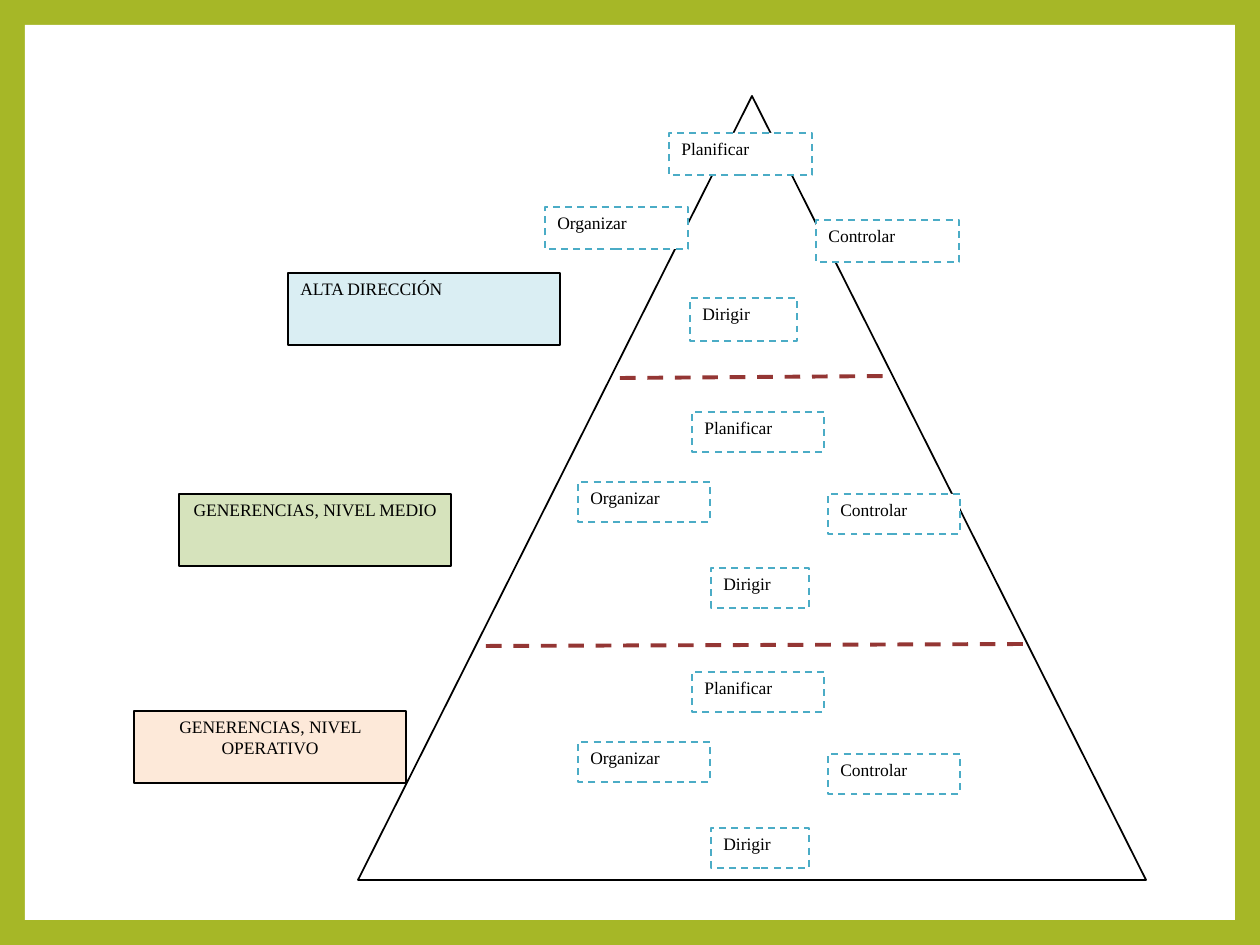
from dataclasses import dataclass, replace

from lxml import etree
from pptx import Presentation
from pptx import util as u
from pptx.dml.color import RGBColor
from pptx.enum import dml, shapes, text
from pptx.oxml import ns

PX_PER_INCH = 126
FONT = "Times New Roman"
COLORS = {
    "frame": "A6B727",
    "paper": "FFFFFF",
    "ink": "000000",
    "function": "4BACC6",
    "divider": "943634",
    "top": "DAEEF3",
    "middle": "D6E3BC",
    "operative": "FDE9D9",
}


@dataclass(frozen=True)
class Box:
    label: str
    left: int
    top: int
    width: int
    height: int
    fill: str = "paper"
    line: str = "function"
    dashed: bool = True
    centered: bool = False


@dataclass(frozen=True)
class Divider:
    left: int
    left_y: int
    right: int
    right_y: int


LEVELS = [
    Box("GENERENCIAS, NIVEL MEDIO", 179, 494, 272, 72, "middle", "ink", False, True),
    Box("GENERENCIAS, NIVEL OPERATIVO", 134, 711, 272, 72, "operative", "ink", False, True),
    Box("ALTA DIRECCIÓN", 288, 273, 272, 72, "top", "ink", False),
]
TOP_FUNCTIONS = [
    Box("Planificar", 669, 133, 143, 42),
    Box("Organizar", 545, 207, 143, 42),
    Box("Dirigir", 690, 298, 107, 43),
    Box("Controlar", 816, 220, 143, 42),
]
MIDDLE_FUNCTIONS = [
    Box("Planificar", 692, 412, 132, 40),
    Box("Organizar", 578, 482, 132, 40),
    Box("Dirigir", 711, 568, 98, 40),
    Box("Controlar", 828, 494, 132, 40),
]
LEVEL_STEP = 260
OPERATIVE_FUNCTIONS = [replace(box, top=box.top + LEVEL_STEP) for box in MIDDLE_FUNCTIONS]
DIVIDERS = [Divider(620, 378, 892, 376), Divider(486, 646, 1027, 644)]


def px(length: int) -> u.Emu:
    return u.Emu(round(length * u.Inches(1) / PX_PER_INCH))


def color(name: str) -> RGBColor:
    return RGBColor.from_string(COLORS[name])


def add_outline(slide, kind, left: int, top: int, width: int, height: int, fill: str, line: str | None):
    shape = slide.shapes.add_shape(kind, px(left), px(top), px(width), px(height))
    shape.shadow.inherit = False
    shape.fill.solid()
    shape.fill.fore_color.rgb = color(fill)
    if line is None:
        shape.line.fill.background()
    else:
        shape.line.color.rgb = color(line)
        shape.line.width = u.Pt(1)
    return shape


def add_box(slide, box: Box) -> None:
    shape = add_outline(slide, shapes.MSO_SHAPE.RECTANGLE, box.left, box.top,
                        box.width, box.height, box.fill, box.line)
    if box.dashed:
        shape.line.dash_style = dml.MSO_LINE.DASH
    frame = shape.text_frame
    frame.word_wrap = True
    frame.vertical_anchor = text.MSO_ANCHOR.TOP
    frame.margin_left = frame.margin_right = u.Inches(0.1)
    frame.margin_top = frame.margin_bottom = u.Inches(0.04)
    paragraph = frame.paragraphs[0]
    paragraph.alignment = text.PP_ALIGN.CENTER if box.centered else text.PP_ALIGN.LEFT
    run = paragraph.add_run()
    run.text = box.label
    run.font.name = FONT
    run.font.size = u.Pt(10)
    run.font.color.rgb = color("ink")


def add_divider(slide, divider: Divider) -> None:
    connector = slide.shapes.add_connector(
        shapes.MSO_CONNECTOR.STRAIGHT, px(divider.left), px(divider.left_y),
        px(divider.right), px(divider.right_y))
    connector.line.color.rgb = color("divider")
    connector.line.width = u.Pt(2.25)
    connector.line.dash_style = dml.MSO_LINE.DASH
    etree.SubElement(connector.element.spPr, ns.qn("a:effectLst"))


def main() -> None:
    """Build the pyramid of management levels and their functions."""
    presentation = Presentation()
    presentation.slide_width, presentation.slide_height = u.Inches(10), u.Inches(7.5)
    slide = presentation.slides.add_slide(presentation.slide_layouts[6])
    slide.background.fill.solid()
    slide.background.fill.fore_color.rgb = color("frame")
    add_outline(slide, shapes.MSO_SHAPE.RECTANGLE, 25, 25, 1210, 895, "paper", None)
    *side_levels, top_level = LEVELS
    for level in side_levels:
        add_box(slide, level)
    add_outline(slide, shapes.MSO_SHAPE.ISOSCELES_TRIANGLE, 358, 96, 788, 784, "paper", "ink")
    for box in TOP_FUNCTIONS + OPERATIVE_FUNCTIONS + MIDDLE_FUNCTIONS:
        add_box(slide, box)
    for divider in DIVIDERS:
        add_divider(slide, divider)
    add_box(slide, top_level)
    presentation.save("out.pptx")


if __name__ == "__main__":
    main()
